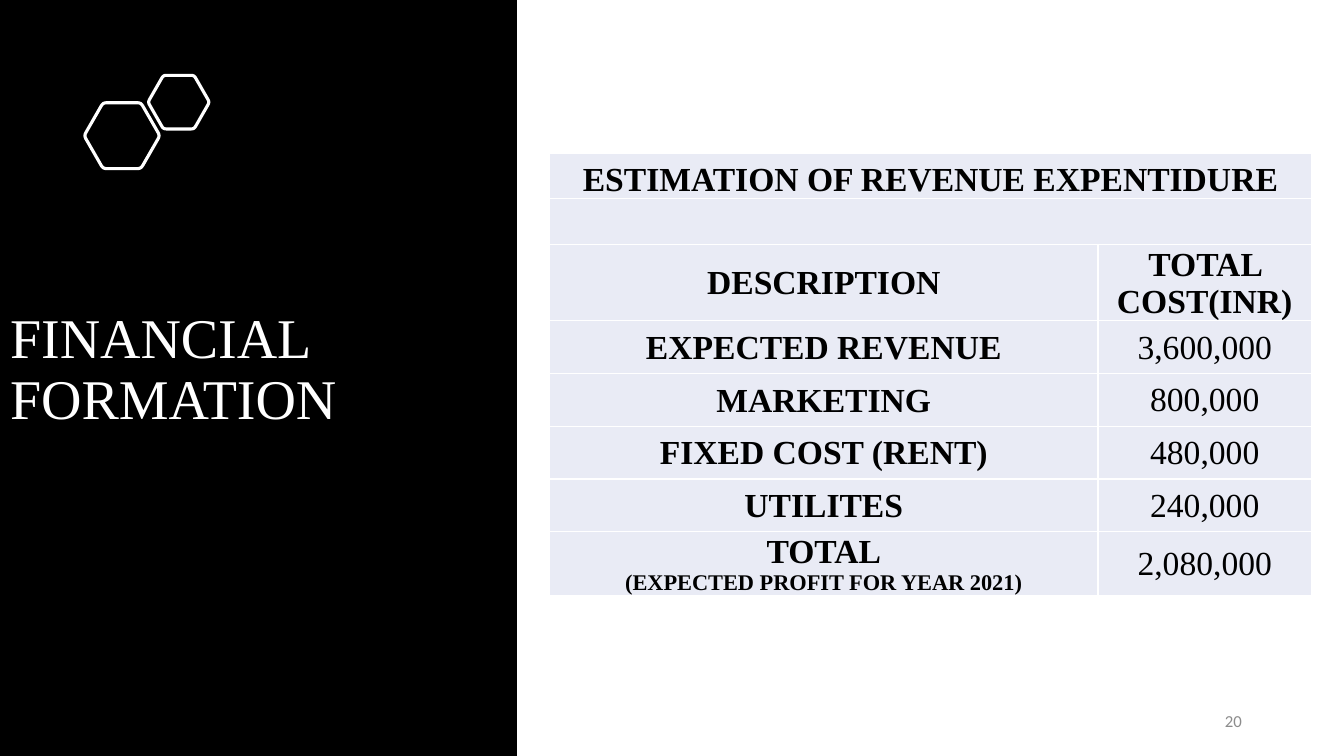
from dataclasses import dataclass

from lxml import etree
from pptx import Presentation
from pptx.dml.color import RGBColor
from pptx.enum import text
from pptx.oxml import ns
from pptx.util import Cm, Pt


@dataclass(frozen=True)
class Theme:
    """Colours, fonts and type sizes."""
    panel: str = "000000"
    light: str = "FFFFFF"
    ink: str = "000000"
    cell: str = "E9EBF5"
    muted: str = "8C8C8C"
    serif: str = "Times New Roman"
    sans: str = "Calibri"
    title: int = 40
    body: int = 24
    note: int = 16
    number: int = 12


T = Theme()
CENTER, RIGHT = text.PP_ALIGN.CENTER, text.PP_ALIGN.RIGHT
MIDDLE, BOTTOM = text.MSO_ANCHOR.MIDDLE, text.MSO_ANCHOR.BOTTOM

COSTS = [
    ("DESCRIPTION", "TOTAL COST(INR)"),
    ("EXPECTED REVENUE", "3,600,000"),
    ("MARKETING", "800,000"),
    ("FIXED COST (RENT)", "480,000"),
    ("UTILITES", "240,000"),
    ("TOTAL", "2,080,000"),
]


def write(p, content, size=T.body, font=T.serif, color=T.ink, bold=False,
          align=None, spacing=None):
    """Put one formatted run in a paragraph."""
    p.alignment = align
    p.line_spacing = spacing
    r = p.add_run()
    r.text = content
    r.font.size, r.font.name, r.font.bold = Pt(size), font, bold
    r.font.color.rgb = RGBColor.from_string(color)


def add_panel(s, width, height):
    """Add the dark panel behind everything else."""
    sp = s.shapes.add_shape(1, 0, 0, width, height)
    sp.shadow.inherit = False
    sp.fill.solid()
    sp.fill.fore_color.rgb = RGBColor.from_string(T.panel)
    sp.line.fill.background()
    s.shapes.title.element.addprevious(sp.element)


def set_title(s, content):
    """Place and fill the title placeholder."""
    sp = s.shapes.title
    sp.left, sp.top, sp.width, sp.height = Cm(0), Cm(4.5), Cm(13.03), Cm(9.7)
    tf = sp.text_frame
    tf.word_wrap, tf.vertical_anchor = True, MIDDLE
    tf.auto_size = text.MSO_AUTO_SIZE.NONE
    write(tf.paragraphs[0], content, size=T.title, color=T.light,
          align=text.PP_ALIGN.LEFT, spacing=0.9)


def rounded_hexagon(left, top, width, height, cut=0.09, steps=4):
    """Return the outline points of a hexagon with softened corners."""
    unit = [(0, 0.5), (0.25, 0), (0.75, 0), (1, 0.5), (0.75, 1), (0.25, 1)]
    corners = [(left + x * width, top + y * height) for x, y in unit]
    points = []
    for i, c in enumerate(corners):
        before, after = corners[i - 1], corners[(i + 1) % 6]
        a, b = ([v + (w - v) * cut for v, w in zip(c, q)] for q in (before, after))
        for t in (k / steps for k in range(steps + 1)):
            points.append(tuple(
                int((1 - t) ** 2 * u + 2 * t * (1 - t) * v + t * t * w)
                for u, v, w in zip(a, c, b)))
    return points


def add_hexagon(group, *box):
    """Draw one outlined hexagon in a group."""
    points = rounded_hexagon(*box)
    builder = group.shapes.build_freeform(*points[0])
    builder.add_line_segments(points[1:], close=True)
    sp = builder.convert_to_shape()
    sp.shadow.inherit = False
    sp.fill.background()
    sp.line.color.rgb = RGBColor.from_string(T.light)
    sp.line.width = Pt(2.25)


def style_cell(cell, margin=0.05, anchor=MIDDLE):
    """Set the fill, margins and white borders of a cell."""
    cell.vertical_anchor = anchor
    cell.margin_left = cell.margin_right = cell.margin_top = Cm(margin)
    cell.margin_bottom = 0
    pr = cell._tc.get_or_add_tcPr()
    for side in ("lnL", "lnR", "lnT", "lnB"):
        ln = etree.SubElement(pr, ns.qn(f"a:{side}"), w=str(Pt(1)))
        fill = etree.SubElement(ln, ns.qn("a:solidFill"))
        etree.SubElement(fill, ns.qn("a:srgbClr"), val=T.light)
    cell.fill.solid()
    cell.fill.fore_color.rgb = RGBColor.from_string(T.cell)


def add_cost_table(s):
    """Add the revenue and cost table."""
    rows = len(COSTS) + 2
    frame = s.shapes.add_table(rows, 2, Cm(13.85), Cm(3.86), Cm(19.2), Cm(10.2))
    table = frame.table
    table.first_row = table.horz_banding = False
    for column, width in zip(table.columns, (13.82, 5.38)):
        column.width = Cm(width)
    for i, row in enumerate(table.rows):
        row.height = Cm(1.15 if i < 2 else 1.33)
        for j, cell in enumerate(row.cells):
            style_cell(cell, margin=0.03 if j and i > 2 else 0.05,
                       anchor=MIDDLE if i else BOTTOM)
        if i < 2:
            row.cells[0].merge(row.cells[1])
    write(table.cell(0, 0).text_frame.paragraphs[0],
          "ESTIMATION OF REVENUE EXPENTIDURE", bold=True, align=CENTER)
    for i, record in enumerate(COSTS):
        for j, content in enumerate(record):
            write(table.cell(i + 2, j).text_frame.paragraphs[0], content,
                  bold=i == 0 or j == 0, align=CENTER)
    write(table.cell(rows - 1, 0).text_frame.add_paragraph(),
          "(EXPECTED PROFIT FOR YEAR 2021)", size=T.note, bold=True, align=CENTER)


def add_page_number(s, number):
    """Add the page number at the lower right."""
    tf = s.shapes.add_textbox(Cm(23.93), Cm(17.65), Cm(7.62), Cm(1.02)).text_frame
    tf.word_wrap, tf.vertical_anchor = True, MIDDLE
    write(tf.paragraphs[0], number, size=T.number, font=T.sans, color=T.muted,
          align=RIGHT)


def main():
    """Build and save the slide."""
    prs = Presentation()
    prs.slide_width, prs.slide_height = Cm(33.87), Cm(19.05)
    s = prs.slides.add_slide(prs.slide_layouts[5])
    add_panel(s, Cm(13.03), prs.slide_height)
    set_title(s, "FINANCIAL FORMATION")
    group = s.shapes.add_group_shape()
    add_hexagon(group, Cm(2.12), Cm(2.59), Cm(1.91), Cm(1.66))
    add_hexagon(group, Cm(3.73), Cm(1.9), Cm(1.55), Cm(1.35))
    add_cost_table(s)
    add_page_number(s, "20")
    prs.save("out.pptx")


if __name__ == "__main__":
    main()
